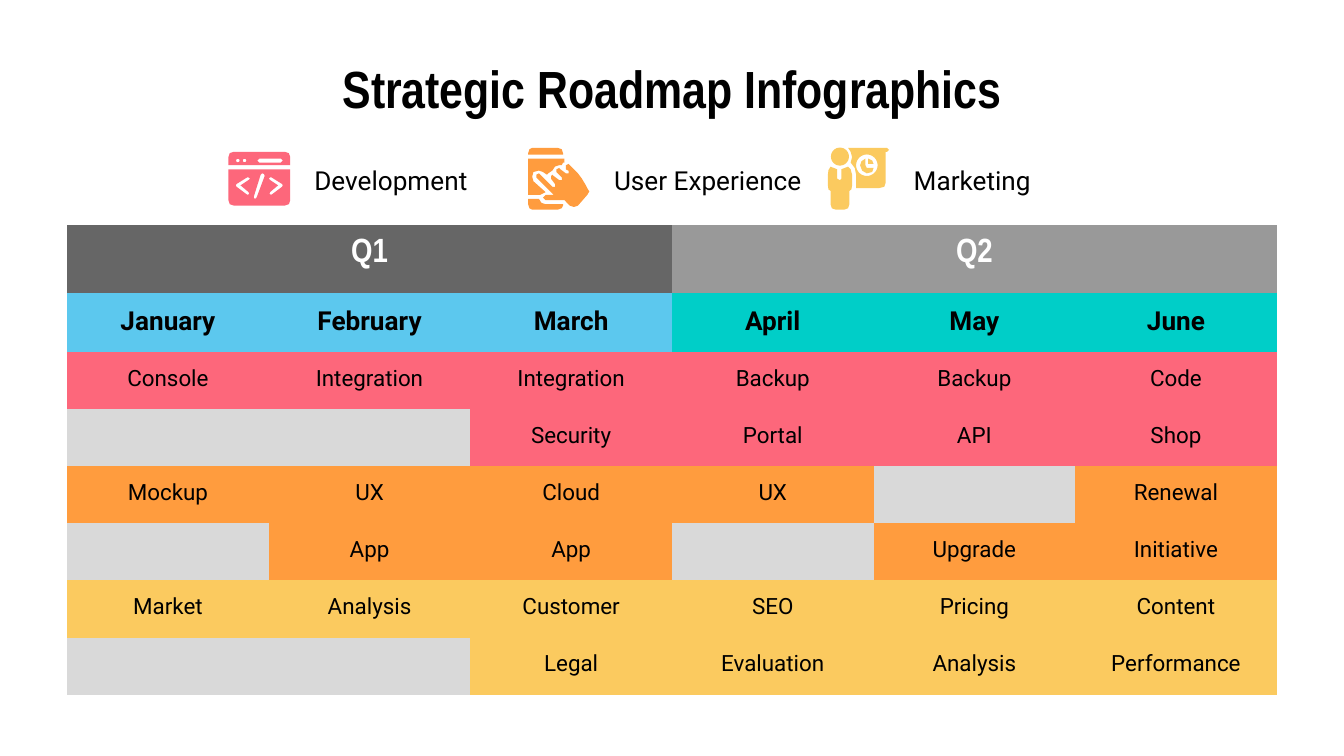
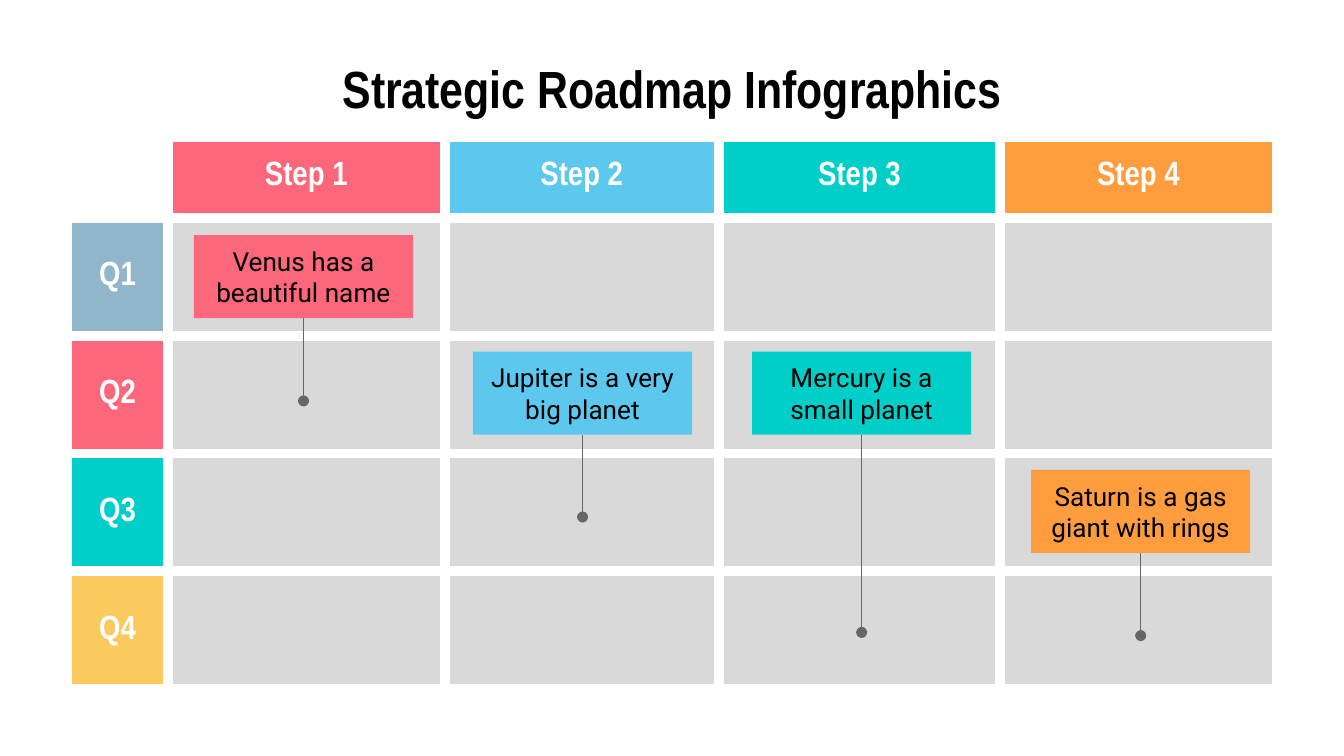
"""Build two strategic roadmap slides: a monthly plan and a quarterly step grid."""
from math import cos, pi, sin

from lxml.etree import SubElement
from pptx import Presentation
from pptx.dml.color import RGBColor
from pptx.enum.shapes import MSO_CONNECTOR, MSO_SHAPE
from pptx.enum.text import MSO_ANCHOR as Anchor, PP_ALIGN as Align
from pptx.oxml import parse_xml
from pptx.oxml.ns import nsdecls, qn
from pptx.util import Pt

BLACK = RGBColor(0x00, 0x00, 0x00)
WHITE = RGBColor(0xFF, 0xFF, 0xFF)
PINK = RGBColor(0xFD, 0x67, 0x7B)
ORANGE = RGBColor(0xFF, 0x9C, 0x3E)
YELLOW = RGBColor(0xFB, 0xCA, 0x5F)
BLUE = RGBColor(0x5C, 0xC8, 0xEE)
TEAL = RGBColor(0x00, 0xCE, 0xC8)
STEEL = RGBColor(0x92, 0xB6, 0xC9)
DARK_GRAY = RGBColor(0x66, 0x66, 0x66)
MID_GRAY = RGBColor(0x99, 0x99, 0x99)
LIGHT_GRAY = RGBColor(0xD9, 0xD9, 0xD9)

HEADING = "Arial Narrow"
BODY = "Roboto"
TITLE = "Strategic Roadmap Infographics"
MARGIN = 36
INSET = Pt(7.2)
ICON_UNIT = 0.72

MONTHS = ["January", "February", "March", "April", "May", "June"]
TASKS = [
    (PINK, ["Console", "Integration", "Integration", "Backup", "Backup", "Code"]),
    (PINK, ["", "", "Security", "Portal", "API", "Shop"]),
    (ORANGE, ["Mockup", "UX", "Cloud", "UX", "", "Renewal"]),
    (ORANGE, ["", "App", "App", "", "Upgrade", "Initiative"]),
    (YELLOW, ["Market", "Analysis", "Customer", "SEO", "Pricing", "Content"]),
    (YELLOW, ["", "", "Legal", "Evaluation", "Analysis", "Performance"]),
]
STEP_COLORS = [PINK, BLUE, TEAL, ORANGE]
QUARTER_COLORS = [STEEL, PINK, TEAL, YELLOW]
MILESTONES = [
    ("Venus has a beautiful name", 126, 214.8),
    ("Jupiter is a very big planet", 188.4, 277),
    ("Mercury is a small planet", 188.4, 338.8),
    ("Saturn is a gas giant with rings", 251.8, 340.5),
]


def disc(x, y, radius):
    """Return the points of a circle."""
    return [(x + radius * cos(k * pi / 16), y + radius * sin(k * pi / 16))
            for k in range(32)]


def mirror(points, width):
    """Return the points flipped left to right within a width."""
    return [(width - x, y) for x, y in points]


CHEVRON = [(14, 22), (15, 22), (16, 23), (15, 24), (9, 28), (15, 33),
           (15.5, 34.5), (14, 35), (6, 29), (5.5, 28), (6, 27)]
CODE_ICON = [
    [[(0, 13), (0, 7), (1, 4), (4, 3), (42, 3), (45, 4), (46, 7), (46, 13)],
     disc(7, 9.5, 1.3), disc(12, 9.5, 1.3),
     [(23, 8), (39, 8), (40.5, 9.5), (39, 11), (23, 11), (21.5, 9.5)]],
    [[(0, 16), (46, 16), (46, 39), (45, 42), (42, 43), (4, 43), (1, 42), (0, 39)],
     CHEVRON, mirror(CHEVRON, 46),
     [(25, 19), (26.5, 19.5), (27, 21), (21, 37), (20, 38), (19, 37.5),
      (19, 36), (24, 20)]],
]
TOUCH_ICON = [
    [[(0, 5), (0, 4), (1, 1), (3, 0), (22, 0), (25, 1), (26, 4), (26, 5)]],
    [[(0, 8), (0, 35), (9, 35), (13, 33), (4, 25), (3, 21.5), (4, 18), (8, 17),
      (11, 18), (14, 20), (15, 19), (18, 17), (20, 14), (23, 13), (25, 13),
      (26, 11), (27, 11), (27, 8)]],
    [[(0, 38), (0, 42), (1, 45), (3, 46), (22, 46), (25, 45), (26, 43),
      (26, 42), (13, 42), (10, 41), (8, 38)]],
    [[(30, 12), (28, 13), (28, 16), (30, 17), (30, 19), (28, 19), (24, 16),
      (23, 15), (21, 16), (21, 18), (25, 22), (25, 24), (23, 24), (19, 21),
      (18, 20), (17, 21), (17, 23), (20, 27), (20, 29), (18, 29), (9, 20),
      (8, 19), (6, 20), (6, 22), (13, 29), (19, 35), (13, 35), (11, 37),
      (13, 39), (27, 39), (31, 43), (34, 44), (37, 43), (44, 35), (45.5, 32.5),
      (44, 30), (43, 28), (40, 23), (37, 19), (31, 13)]],
]
PRESENTER_ICON = [
    [disc(9, 6.6, 6.7)],
    [[(28, 8), (28, 13), (29, 15), (34, 15), (33, 18), (29, 19), (25.5, 17),
      (24, 13), (25, 10)]],
    [[(30, 8), (30, 12), (34, 12), (33, 9.5)]],
    [[(2, 14), (0.5, 16.5), (0, 20), (0, 28), (0.5, 31), (2, 32), (2, 42),
      (3, 45), (6, 46), (12, 46), (15, 45), (16, 42), (16, 32), (17.5, 31),
      (18, 28), (18, 20), (17, 16), (15, 14), (10, 16), (10, 23), (9, 24),
      (7, 23), (7, 16)]],
    [[(15, 0), (17, 3), (18, 7), (17, 11), (20, 15), (21, 20), (21, 30),
      (38, 30), (42, 29), (43, 26), (43, 3), (44, 3), (45.5, 1.5), (44, 0)],
     disc(29, 13, 8)],
]
LEGEND = [("Development", PINK, CODE_ICON), ("User Experience", ORANGE, TOUCH_ICON),
          ("Marketing", YELLOW, PRESENTER_ICON)]


def write(frame, text, font, size, color=BLACK, bold=False, align=Align.CENTER):
    """Fill a text frame with one formatted paragraph."""
    frame.text = text
    paragraph = frame.paragraphs[0]
    paragraph.alignment = align
    for run in paragraph.runs:
        run.font.name, run.font.size = font, Pt(size)
        run.font.bold, run.font.color.rgb = bold, color
    if not text:
        SubElement(paragraph._p, qn("a:endParaRPr"), sz=str(size * 100))


def add_label(slide, text, left, top, width, height, **style):
    """Add a text box with vertically centred text."""
    label = slide.shapes.add_textbox(Pt(left), Pt(top), Pt(width), Pt(height))
    frame = label.text_frame
    frame.word_wrap, frame.vertical_anchor = True, Anchor.MIDDLE
    frame.margin_left = frame.margin_right = INSET
    frame.margin_top = frame.margin_bottom = INSET
    write(frame, text, **style)


def add_titled_slide(deck):
    """Add a blank slide with the shared title."""
    slide = deck.slides.add_slide(deck.slide_layouts[6])
    add_label(slide, TITLE, MARGIN, 32.4, 648, 29.5,
              font=HEADING, size=28, bold=True)
    return slide


def add_icon(slide, pieces, left, top, color):
    """Draw a group of filled outlines, inner contours being holes."""
    icon = slide.shapes.add_group_shape()
    for contours in pieces:
        scaled = [[(Pt(x * ICON_UNIT), Pt(y * ICON_UNIT)) for x, y in contour]
                  for contour in contours]
        builder = icon.shapes.build_freeform(*scaled[0][0])
        builder.add_line_segments(scaled[0][1:])
        for hole in scaled[1:]:
            builder.move_to(*hole[0])
            builder.add_line_segments(hole[1:])
        piece = builder.convert_to_shape(Pt(left), Pt(top))
        piece.shadow.inherit = False
        piece.fill.solid()
        piece.fill.fore_color.rgb = color
        piece.line.fill.background()


def add_grid(slide, top, widths, heights):
    """Add a plain table with the given column widths and row heights."""
    frame = slide.shapes.add_table(len(heights), len(widths), Pt(MARGIN), Pt(top),
                                   Pt(sum(widths)), Pt(sum(heights)))
    grid = frame.table
    grid.first_row = grid.horz_banding = False
    for column, width in zip(grid.columns, widths):
        column.width = Pt(width)
    for row, height in zip(grid.rows, heights):
        row.height = Pt(height)
    return grid


def set_borders(cell, width, color):
    """Give all four sides of a cell one line, or none without a colour."""
    paint = ("<a:noFill/>" if color is None else
             f'<a:solidFill><a:srgbClr val="{color}"/></a:solidFill>')
    properties = cell._tc.get_or_add_tcPr()
    for index, side in enumerate("LRTB"):
        properties.insert(index, parse_xml(
            f'<a:ln{side} {nsdecls("a")} w="{Pt(width)}">{paint}</a:ln{side}>'))


def fill_cell(cell, text, fill, font=BODY, size=12, color=BLACK, bold=False,
              anchor=Anchor.TOP, border=None):
    """Set the text, fill and borders of a table cell."""
    cell.margin_left = cell.margin_right = INSET
    cell.margin_top = cell.margin_bottom = INSET
    cell.vertical_anchor = anchor
    write(cell.text_frame, text, font, size, color, bold)
    if fill is None:
        cell.fill.background()
    else:
        cell.fill.solid()
        cell.fill.fore_color.rgb = fill
    set_borders(cell, 6 if border else 0, border)


def add_milestone(slide, text, left, top, end, color):
    """Add a coloured note with a dotted-end line down to its target."""
    note = slide.shapes.add_shape(MSO_SHAPE.RECTANGLE, Pt(left), Pt(top),
                                  Pt(117.4), Pt(44.5))
    note.shadow.inherit = False
    note.fill.solid()
    note.fill.fore_color.rgb = color
    note.line.fill.background()
    frame = note.text_frame
    frame.word_wrap, frame.vertical_anchor = True, Anchor.MIDDLE
    frame.margin_left = frame.margin_right = INSET
    frame.margin_top = frame.margin_bottom = INSET
    write(frame, text, BODY, 14)

    center = note.left + note.width // 2
    stem = slide.shapes.add_connector(MSO_CONNECTOR.STRAIGHT, center,
                                      note.top + note.height, center, Pt(end))
    stem.begin_connect(note, 2)
    stem.line.color.rgb, stem.line.width = DARK_GRAY, Pt(0.75)
    properties = stem._element.spPr
    SubElement(properties.find(qn("a:ln")), qn("a:tailEnd"), type="oval")
    SubElement(properties, qn("a:effectLst"))


def build_monthly_plan(deck):
    """Build the slide with the legend and six months of tasks."""
    slide = add_titled_slide(deck)
    for index, (area, color, icon) in enumerate(LEGEND):
        left = 122.4 + 160.56 * index
        add_icon(slide, icon, left, 79.2, color)
        add_label(slide, area, left + 38.9, 88.8, 115.2, 15.1,
                  font=BODY, size=14, align=Align.LEFT)

    plan = add_grid(slide, 120.6, [108] * 6, [36.4, 31.5] + [30.64] * 6)
    for column, month in enumerate(MONTHS):
        quarter = column // 3
        heading = f"Q{quarter + 1}" if column % 3 == 0 else ""
        fill_cell(plan.cell(0, column), heading, [DARK_GRAY, MID_GRAY][quarter],
                  HEADING, 18, WHITE, True)
        fill_cell(plan.cell(1, column), month, [BLUE, TEAL][quarter],
                  size=14, bold=True)
        for row, (color, tasks) in enumerate(TASKS, 2):
            task = tasks[column]
            fill_cell(plan.cell(row, column), task, color if task else LIGHT_GRAY)
    for first in (0, 3):
        plan.cell(0, first).merge(plan.cell(0, first + 2))


def build_step_grid(deck):
    """Build the slide with steps across, quarters down and milestones."""
    slide = add_titled_slide(deck)
    grid = add_grid(slide, 73.2, [54, 148.2, 147, 150.6, 148.2], [43.4] + [63.2] * 4)
    headings = {(0, 0): ("", None)}
    for index, color in enumerate(STEP_COLORS, 1):
        headings[0, index] = f"Step {index}", color
    for index, color in enumerate(QUARTER_COLORS, 1):
        headings[index, 0] = f"Q{index}", color
    for row in range(5):
        for column in range(5):
            text, color = headings.get((row, column), ("", LIGHT_GRAY))
            fill_cell(grid.cell(row, column), text, color, HEADING, 18, WHITE,
                      True, Anchor.MIDDLE, WHITE)
    for index, (text, top, end) in enumerate(MILESTONES):
        add_milestone(slide, text, 103.9 + 149.5 * index, top, end,
                      STEP_COLORS[index])


def main():
    """Build and save the deck."""
    deck = Presentation()
    deck.slide_width, deck.slide_height = Pt(720), Pt(405)
    build_monthly_plan(deck)
    build_step_grid(deck)
    deck.save("out.pptx")


if __name__ == "__main__":
    main()
